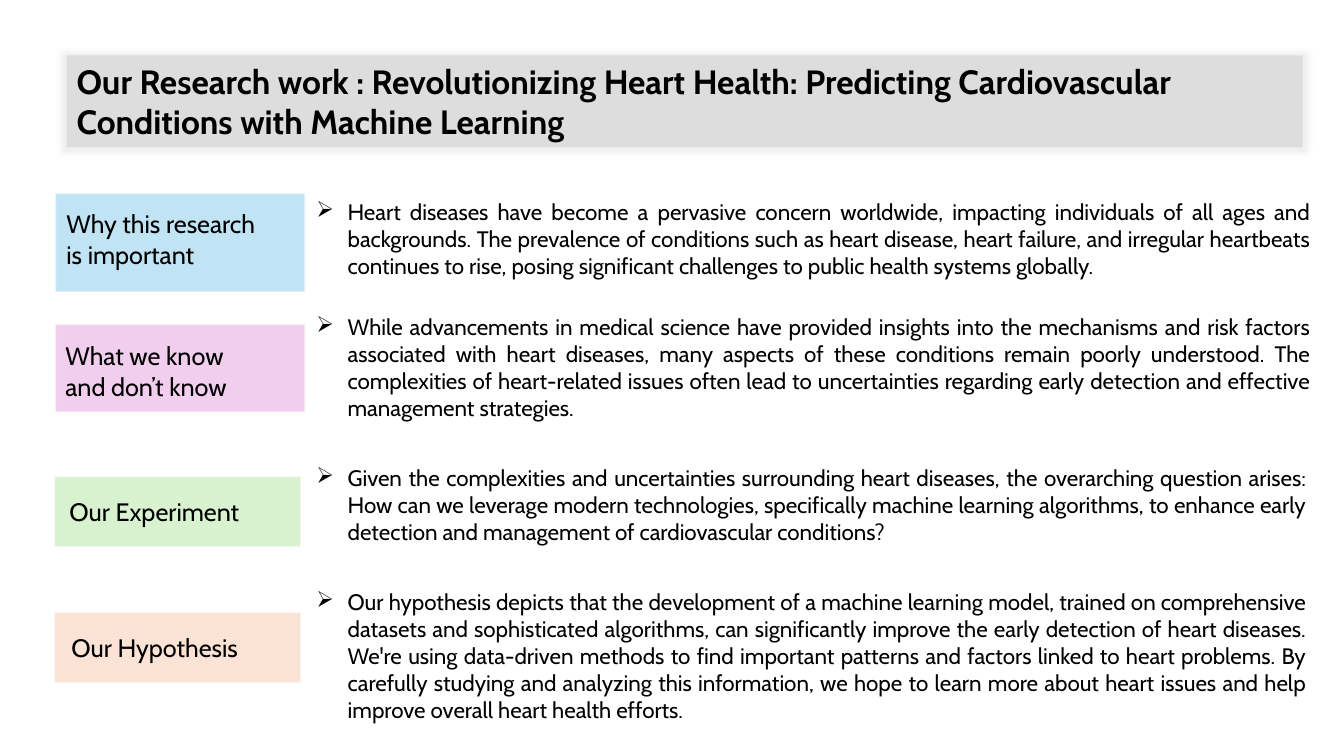
from dataclasses import dataclass

from lxml import etree
from pptx import Presentation
from pptx.dml.color import RGBColor
from pptx.enum.shapes import MSO_SHAPE
from pptx.enum.text import MSO_ANCHOR, MSO_AUTO_SIZE, PP_ALIGN
from pptx.oxml.ns import qn
from pptx.util import Inches, Pt

RECTANGLE = MSO_SHAPE.RECTANGLE
LEFT, JUSTIFY = PP_ALIGN.LEFT, PP_ALIGN.JUSTIFY
MIDDLE, TOP = MSO_ANCHOR.MIDDLE, MSO_ANCHOR.TOP
NO_AUTOFIT = MSO_AUTO_SIZE.NONE


@dataclass(frozen=True)
class Theme:
    font: str = "Cabin"
    text: str = "000000"
    banner: str = "D9D9D9"
    blue: str = "C1E5F5"
    pink: str = "F2CFEE"
    green: str = "D9F2D0"
    peach: str = "FBE3D6"
    title_size: int = 24
    label_size: int = 18
    body_size: int = 16


THEME = Theme()


def write_text(shape, text, size, alignment=LEFT, anchor=TOP, bold=False):
    """Fill a shape with one styled paragraph and return that paragraph."""
    frame = shape.text_frame
    frame.text = text
    frame.word_wrap = True
    frame.auto_size = NO_AUTOFIT
    frame.vertical_anchor = anchor
    paragraph = frame.paragraphs[0]
    paragraph.alignment = alignment
    font = paragraph.runs[0].font
    font.name = THEME.font
    font.size = Pt(size)
    font.bold = bold
    font.color.rgb = RGBColor.from_string(THEME.text)
    return paragraph


def add_effect(shape, name, radius):
    """Give a shape one soft edge or glow effect and return its element."""
    properties = shape.fill._xPr
    for old in properties.findall(qn("a:effectLst")):
        properties.remove(old)
    effects = etree.SubElement(properties, qn("a:effectLst"))
    return etree.SubElement(effects, qn(name), rad=str(Pt(radius)))


presentation = Presentation()
presentation.slide_width = Inches(13.33)
presentation.slide_height = Inches(7.5)
slide = presentation.slides.add_slide(presentation.slide_layouts[5])

# Title banner: translucent grey with a soft glow
title = slide.shapes.title
title.left, title.top = Inches(0.66), Inches(0.55)
title.width, title.height = Inches(12.26), Inches(0.91)
write_text(
    title,
    "Our Research work : Revolutionizing Heart Health: Predicting Cardiovascular "
    "Conditions with Machine Learning",
    THEME.title_size, anchor=MIDDLE, bold=True,
)
title.fill.solid()
title.fill.fore_color.rgb = RGBColor.from_string(THEME.banner)
fill_color = title.fill._xPr.find(qn("a:solidFill"))[0]
etree.SubElement(fill_color, qn("a:alpha"), val="80000")
glow = add_effect(title, "a:glow", 8)
glow_color = etree.SubElement(glow, qn("a:srgbClr"), val=THEME.banner)
etree.SubElement(glow_color, qn("a:alpha"), val="40000")

# Sections: label, colour, box, label position, body position, body text
sections = [
    ("Why this research is important", THEME.blue,
     (0.54, 1.91, 2.49, 0.99), (0.56, 2.02, 2.17, 0.71), (3.04, 1.92, 10.06, 0.91),
     "Heart diseases have become a pervasive concern worldwide, impacting individuals "
     "of all ages and backgrounds. The prevalence of conditions such as heart disease, "
     "heart failure, and irregular heartbeats continues to rise, posing significant "
     "challenges to public health systems globally."),
    ("What we know and don’t know", THEME.pink,
     (0.54, 3.21, 2.49, 0.88), (0.55, 3.33, 2.03, 0.71), (3.04, 3.06, 10.06, 1.18),
     "While advancements in medical science have provided insights into the mechanisms "
     "and risk factors associated with heart diseases, many aspects of these conditions "
     "remain poorly understood. The complexities of heart-related issues often lead to "
     "uncertainties regarding early detection and effective management strategies."),
    ("Our Experiment", THEME.green,
     (0.53, 4.72, 2.46, 0.71), (0.59, 4.87, 1.99, 0.4), (3.04, 4.56, 10.02, 0.91),
     "Given the complexities and uncertainties surrounding heart diseases, the "
     "overarching question arises: How can we leverage modern technologies, "
     "specifically machine learning algorithms, to enhance early detection and "
     "management of cardiovascular conditions?"),
    ("Our Hypothesis", THEME.peach,
     (0.53, 6.07, 2.46, 0.71), (0.61, 6.22, 2.09, 0.4), (3.04, 5.79, 10.02, 1.45),
     "Our hypothesis depicts that the development of a machine learning model, trained "
     "on comprehensive datasets and sophisticated algorithms, can significantly improve "
     "the early detection of heart diseases. We're using data-driven methods to find "
     "important patterns and factors linked to heart problems. By carefully studying "
     "and analyzing this information, we hope to learn more about heart issues and help "
     "improve overall heart health efforts."),
]

for label, color, box_place, label_place, body_place, body in sections:
    # Coloured box with soft edges
    box = slide.shapes.add_shape(RECTANGLE, *map(Inches, box_place))
    box.fill.solid()
    box.fill.fore_color.rgb = RGBColor.from_string(color)
    box.line.fill.background()
    add_effect(box, "a:softEdge", 1)

    # Label over the box
    label_box = slide.shapes.add_textbox(*map(Inches, label_place))
    write_text(label_box, label, THEME.label_size)

    # Justified body with an arrow bullet
    body_box = slide.shapes.add_textbox(*map(Inches, body_place))
    paragraph = write_text(body_box, body, THEME.body_size, alignment=JUSTIFY)
    properties = paragraph._p.get_or_add_pPr()
    properties.set("marL", str(Inches(0.31)))
    properties.set("indent", str(Inches(-0.31)))
    etree.SubElement(properties, qn("a:buChar"), char="➢")

presentation.save("out.pptx")
